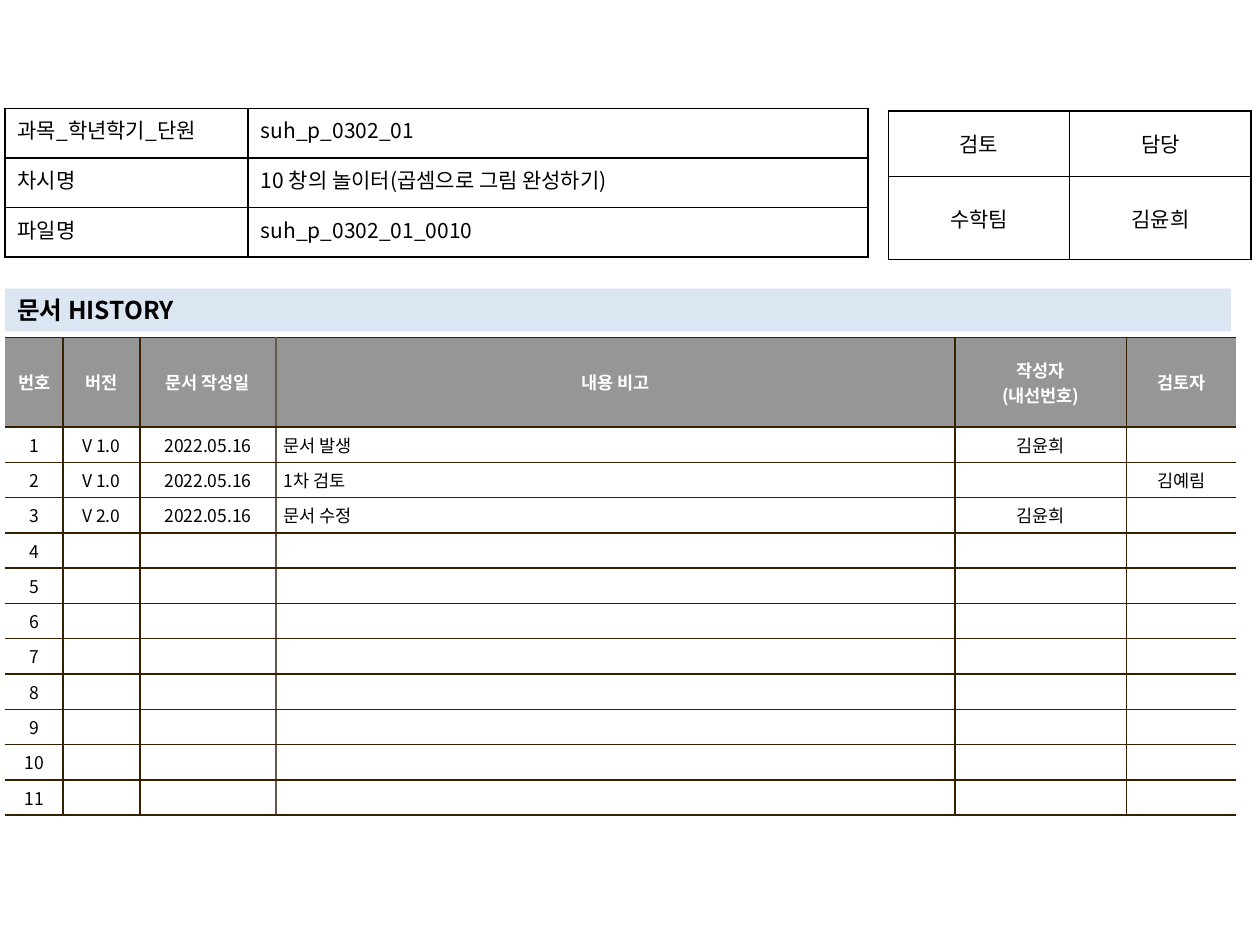
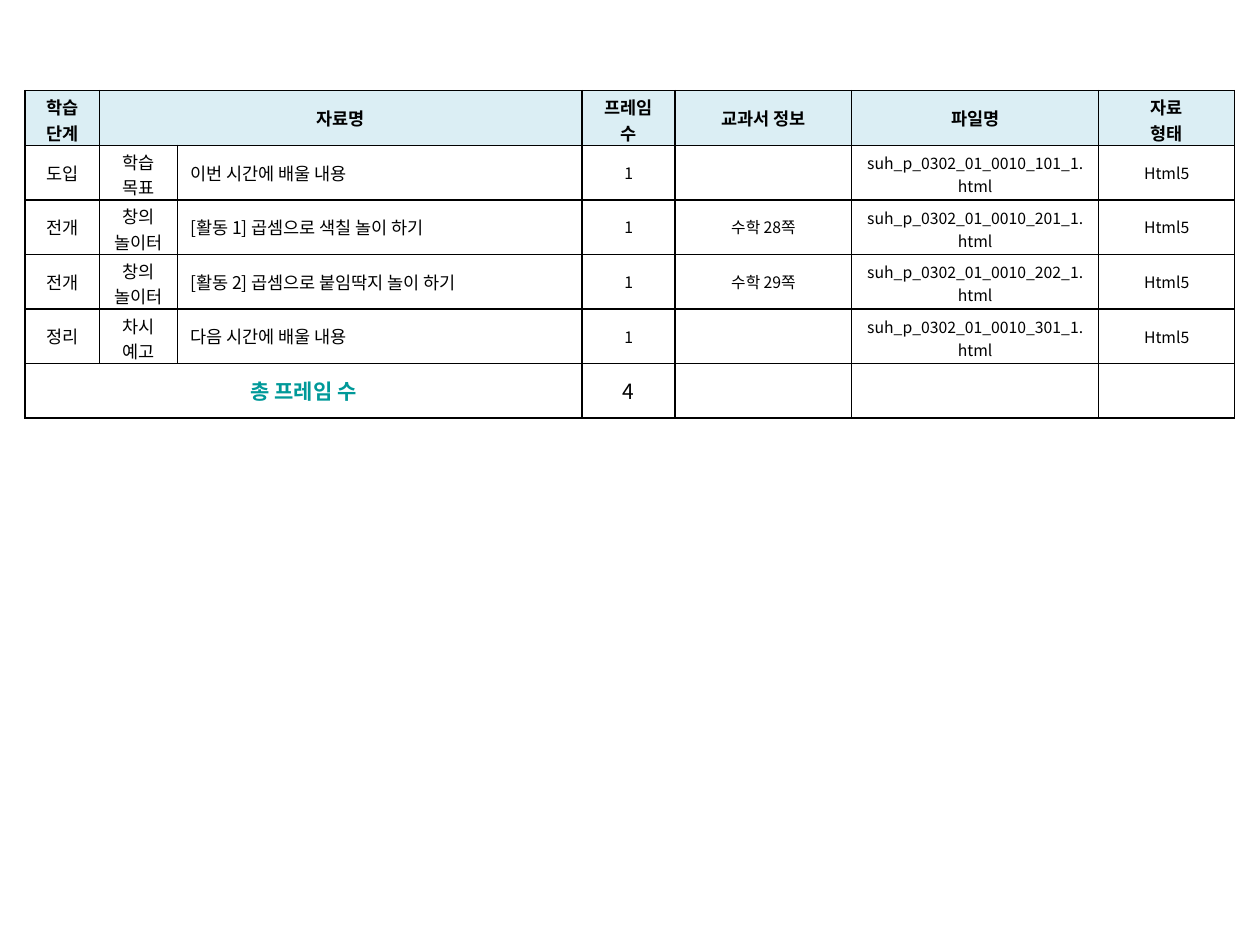
from dataclasses import dataclass

from lxml import etree
from pptx import Presentation
from pptx import util as u
from pptx.dml.color import RGBColor
from pptx.enum import shapes, text
from pptx.oxml import ns


@dataclass(frozen=True)
class Theme:
    font: str = "Noto Sans CJK KR"
    black: str = "000000"
    white: str = "FFFFFF"
    band: str = "DCE6F2"
    history_header: str = "969696"
    history_line: str = "362000"
    history_soft_line: str = "645B4C"
    frame_header: str = "DBEEF4"
    total: str = "009999"
    heading: int = 14
    large: int = 12
    body: int = 10
    small: int = 9


THEME = Theme()
LEFT = text.PP_ALIGN.LEFT
CENTER = text.PP_ALIGN.CENTER
JUSTIFY = text.PP_ALIGN.JUSTIFY
TOP = text.MSO_ANCHOR.TOP
MIDDLE = text.MSO_ANCHOR.MIDDLE


@dataclass(frozen=True)
class CellLook:
    size: int = THEME.body
    color: str = THEME.black
    bold: bool = False
    align: int = CENTER
    anchor: int = MIDDLE
    fill: str = ""
    margins: tuple = (0.1, 0.05, 0.1, 0.05)


class Deck:
    def __init__(self, theme):
        self.theme = theme
        self.presentation = Presentation()
        self.presentation.slide_width = u.Inches(10)
        self.presentation.slide_height = u.Inches(7.5)
        self.slide = None

    def add_slide(self):
        self.slide = self.presentation.slides.add_slide(self.presentation.slide_layouts[6])

    def format_text(self, frame, size, color, bold, align):
        for paragraph in frame.paragraphs:
            paragraph.alignment = align
            for run in paragraph.runs:
                run.font.size = u.Pt(size)
                run.font.bold = bold
                run.font.color.rgb = RGBColor.from_string(color)
                run.font.name = self.theme.font
                for tag in ("a:ea", "a:cs"):
                    etree.SubElement(run.font._element, ns.qn(tag), typeface=self.theme.font)
            if not paragraph.runs:
                etree.SubElement(paragraph._p, ns.qn("a:endParaRPr"), sz=str(size * 100))

    def band(self, left, top, width, height, words):
        shape = self.slide.shapes.add_shape(
            shapes.MSO_SHAPE.RECTANGLE, *map(u.Inches, (left, top, width, height)))
        shape.shadow.inherit = False
        shape.fill.solid()
        shape.fill.fore_color.rgb = RGBColor.from_string(self.theme.band)
        shape.line.fill.background()
        frame = shape.text_frame
        frame.text = words
        frame.margin_top = frame.margin_bottom = u.Inches(0.02)
        frame.vertical_anchor = MIDDLE
        self.format_text(frame, self.theme.heading, self.theme.black, True, LEFT)

    def borders(self, cell, colors):
        properties = cell._tc.get_or_add_tcPr()
        for side in "LRTB":
            color = colors.get(side)
            line = etree.SubElement(properties, ns.qn(f"a:ln{side}"), w=str(u.Pt(1)))
            if color:
                fill = etree.SubElement(line, ns.qn("a:solidFill"))
                etree.SubElement(fill, ns.qn("a:srgbClr"), val=color)
            else:
                etree.SubElement(line, ns.qn("a:noFill"))

    def format_cell(self, cell, words, look, border_colors):
        cell.text = words
        self.borders(cell, border_colors)
        if look.fill:
            cell.fill.solid()
            cell.fill.fore_color.rgb = RGBColor.from_string(look.fill)
        else:
            cell.fill.background()
        cell.margin_left, cell.margin_top, cell.margin_right, cell.margin_bottom = map(
            u.Inches, look.margins)
        cell.vertical_anchor = look.anchor
        self.format_text(cell.text_frame, look.size, look.color, look.bold, look.align)

    def table(self, left, top, widths, heights, rows, look_at, border_at=None):
        table = self.slide.shapes.add_table(
            len(heights), len(widths),
            *map(u.Inches, (left, top, sum(widths), sum(heights)))).table
        table.first_row = table.horz_banding = False
        for column, width in zip(table.columns, widths):
            column.width = u.Inches(width)
        for row, height in zip(table.rows, heights):
            row.height = u.Inches(height)
        black_box = dict.fromkeys("LRTB", self.theme.black)
        for r, row in enumerate(rows):
            for c, words in enumerate(row):
                border_colors = border_at(c) if border_at else black_box
                self.format_cell(table.cell(r, c), words, look_at(r, c), border_colors)
        return table


def history_look(row, column):
    margins = (0.06, 0.04, 0.06, 0.04)
    if row == 0:
        return CellLook(color=THEME.white, bold=True, fill=THEME.history_header, margins=margins)
    return CellLook(align=LEFT if column == 3 else CENTER, fill=THEME.white, margins=margins)


def history_border(column):
    colors = dict.fromkeys("LRTB", THEME.history_line)
    if column == 0:
        del colors["L"]
    elif column == 5:
        del colors["R"]
    elif column in (2, 3):
        colors["R" if column == 2 else "L"] = THEME.history_soft_line
    return colors


def lesson_look(row, column):
    return CellLook(size=THEME.large, align=LEFT if column else JUSTIFY, anchor=TOP)


def review_look(row, column):
    return CellLook(size=THEME.large)


def frame_look(row, column):
    tight = (0.1, 0.03, 0.1, 0)
    if row == 0:
        two_lines = column in (0, 3, 6)
        margins = tight if two_lines else CellLook.margins
        return CellLook(bold=True, fill=THEME.frame_header, margins=margins)
    if row == 5:
        if column == 0:
            return CellLook(size=THEME.large, color=THEME.total, bold=True)
        return CellLook(size=THEME.large)
    return CellLook(
        size=THEME.body if column < 3 else THEME.small,
        align=LEFT if column == 2 else CENTER,
        margins=tight if column in (1, 5) else CellLook.margins)


def history_slide(deck):
    deck.add_slide()
    entries = [
        ["V 1.0", "2022.05.16", "문서 발생", "김윤희", ""],
        ["V 1.0", "2022.05.16", "1차 검토", "", "김예림"],
        ["V 2.0", "2022.05.16", "문서 수정", "김윤희", ""],
    ]
    entries += [[""] * 5] * 8
    rows = [["번호", "버전", "문서 작성일", "내용 비고", "작성자\n(내선번호)", "검토자"]]
    rows += [[str(number), *entry] for number, entry in enumerate(entries, 1)]
    deck.table(0.04, 2.68, [0.46, 0.61, 1.08, 5.39, 1.36, 0.87],
               [0.71] + [0.28] * len(entries), rows, history_look, history_border)
    deck.table(7.05, 0.88, [1.44] * 2, [0.52, 0.66],
               [["검토", "담당"], ["수학팀", "김윤희"]], review_look)
    deck.band(0.04, 2.29, 9.73, 0.34, "문서 HISTORY")
    lesson = [
        ["과목_학년학기_단원", "suh_p_0302_01"],
        ["차시명", "10 창의 놀이터(곱셈으로 그림 완성하기)"],
        ["파일명", "suh_p_0302_01_0010"],
    ]
    deck.table(0.04, 0.86, [1.93, 4.92], [1.18 / 3] * 3, lesson, lesson_look)


def frame_slide(deck):
    deck.add_slide()
    frames = [
        ("도입", "학습 목표", "이번 시간에 배울 내용", "", "101"),
        ("전개", "창의\n놀이터", "[활동 1] 곱셈으로 색칠 놀이 하기", "수학 28쪽", "201"),
        ("전개", "창의\n놀이터", "[활동 2] 곱셈으로 붙임딱지 놀이 하기", "수학 29쪽", "202"),
        ("정리", "차시 예고", "다음 시간에 배울 내용", "", "301"),
    ]
    rows = [["학습 단계", "자료명", "", "프레임 수", "교과서 정보", "파일명", "자료\n형태"]]
    rows += [[stage, part, title, "1", page, f"suh_p_0302_01_0010_{code}_1.html", "Html5"]
             for stage, part, title, page, code in frames]
    rows.append(["총 프레임 수", "", "", str(len(frames)), "", "", ""])
    table = deck.table(0.2, 0.72, [0.59, 0.62, 3.21, 0.74, 1.4, 1.96, 1.08],
                       [2.6 / 6] * 6, rows, frame_look)
    table.cell(0, 1).merge(table.cell(0, 2))
    table.cell(5, 0).merge(table.cell(5, 2))


def main():
    deck = Deck(THEME)
    history_slide(deck)
    frame_slide(deck)
    deck.presentation.save("out.pptx")


if __name__ == "__main__":
    main()
